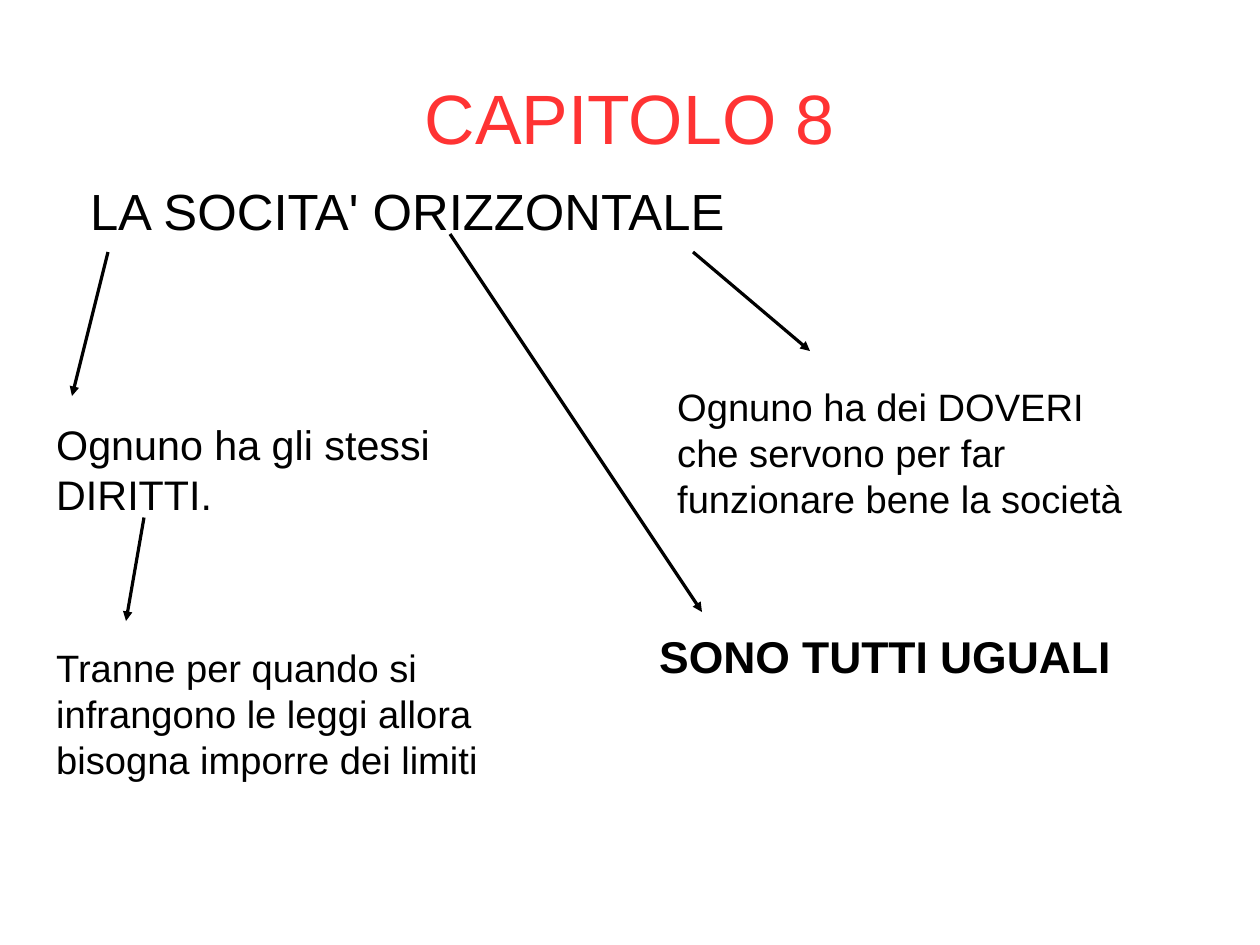
import pptx
import pptx.dml.color
import pptx.enum.shapes
import pptx.enum.text
import pptx.oxml
import pptx.oxml.ns
import pptx.util

RED = pptx.dml.color.RGBColor(0xFF, 0x33, 0x33)
BLACK = pptx.dml.color.RGBColor(0, 0, 0)
COLUMNS, ROWS = 28, 21
ALIGN = pptx.enum.text.PP_ALIGN
ANCHOR = pptx.enum.text.MSO_ANCHOR


class ConceptMap:
    """Draws a concept map on a slide, measured in grid columns and rows."""

    def __init__(self, presentation):
        self.slide = presentation.slides.add_slide(presentation.slide_layouts[1])
        self.column = presentation.slide_width / COLUMNS
        self.row = presentation.slide_height / ROWS
        self.font = {"name": "Arial", "bold": False}

    def place(self, left, top, width, height):
        return (round(left * self.column), round(top * self.row),
                round(width * self.column), round(height * self.row))

    def format(self, target, values):
        for name, value in values.items():
            setattr(target, name, value)

    def fill_text(self, shape, text, size, color=BLACK, bold=False, frame=None, paragraph=None):
        self.format(shape.text_frame, {
            "word_wrap": True, "auto_size": pptx.enum.text.MSO_AUTO_SIZE.NONE,
            "vertical_anchor": ANCHOR.TOP, **(frame or {})})
        line = shape.text_frame.paragraphs[0]
        self.format(line, {"alignment": ALIGN.LEFT, "space_before": pptx.util.Pt(0),
                           **(paragraph or {})})
        run = line.add_run()
        run.text = text
        self.format(run.font, {**self.font, "size": pptx.util.Pt(size), "bold": bold})
        run.font.color.rgb = color
        return line

    def placeholder(self, index, area, text, size, **style):
        shape = self.slide.placeholders[index]
        self.format(shape, dict(zip(("left", "top", "width", "height"), self.place(*area))))
        margins = {"margin_" + side: 0 for side in ("left", "top", "right", "bottom")}
        style["frame"] = {**margins, **style.get("frame", {})}
        return self.fill_text(shape, text, size, **style)

    def title(self, area, text):
        self.placeholder(0, area, text, 44, color=RED, frame={"vertical_anchor": ANCHOR.MIDDLE},
                         paragraph={"alignment": ALIGN.CENTER})

    def body(self, area, text, indent):
        line = self.placeholder(1, area, text, 32, paragraph={"space_after": pptx.util.Pt(14.2)})
        properties = line._p.get_or_add_pPr()
        properties.set("marL", str(round(indent * self.column)))
        properties.set("indent", "0")
        properties.append(pptx.oxml.parse_xml(
            f'<a:buNone {pptx.oxml.ns.nsdecls("a")}/>'))

    def note(self, area, text, size, bold=False):
        self.fill_text(self.slide.shapes.add_textbox(*self.place(*area)), text, size, bold=bold)

    def arrow(self, start, end):
        points = self.place(*start, *end)
        connector = self.slide.shapes.add_connector(
            pptx.enum.shapes.MSO_CONNECTOR.STRAIGHT, *points)
        connector.line.color.rgb = BLACK
        connector.line.width = 0
        namespace = pptx.oxml.ns.nsdecls("a")
        connector.line._get_or_add_ln().append(
            pptx.oxml.parse_xml(f'<a:tailEnd {namespace} type="triangle"/>'))
        connector._element.spPr.append(pptx.oxml.parse_xml(f"<a:effectLst {namespace}/>"))


def main():
    presentation = pptx.Presentation()
    presentation.slide_width = pptx.util.Cm(COLUMNS)
    presentation.slide_height = pptx.util.Cm(ROWS)
    concept_map = ConceptMap(presentation)

    concept_map.title((1.4, 0.85, 25.2, 3.5), "CAPITOLO 8")
    concept_map.body((0.8, 4, 25.6, 4.8), "LA SOCITA' ORIZZONTALE", indent=1.2)

    notes = [
        ((1, 9.2, 10.6, 2.3), "Ognuno ha gli stessi DIRITTI.", 26),
        ((1, 14.2, 10.2, 5.9),
         "Tranne per quando si infrangono le leggi allora bisogna imporre dei limiti", 24),
        ((14.8, 8.4, 10.6, 4.05),
         "Ognuno ha dei DOVERI che servono per far funzionare bene la società", 24),
        ((14.4, 13.85, 11.2, 1.35), "SONO TUTTI UGUALI", 28, True),
    ]
    for note in notes:
        concept_map.note(*note)

    arrows = [
        ((2.4, 5.6), (1.6, 8.8)),
        ((3.2, 11.5), (2.8, 13.8)),
        ((15.4, 5.6), (18, 7.8)),
        ((10, 5.2), (15.6, 13.6)),
    ]
    for start, end in arrows:
        concept_map.arrow(start, end)

    presentation.save("out.pptx")


if __name__ == "__main__":
    main()
